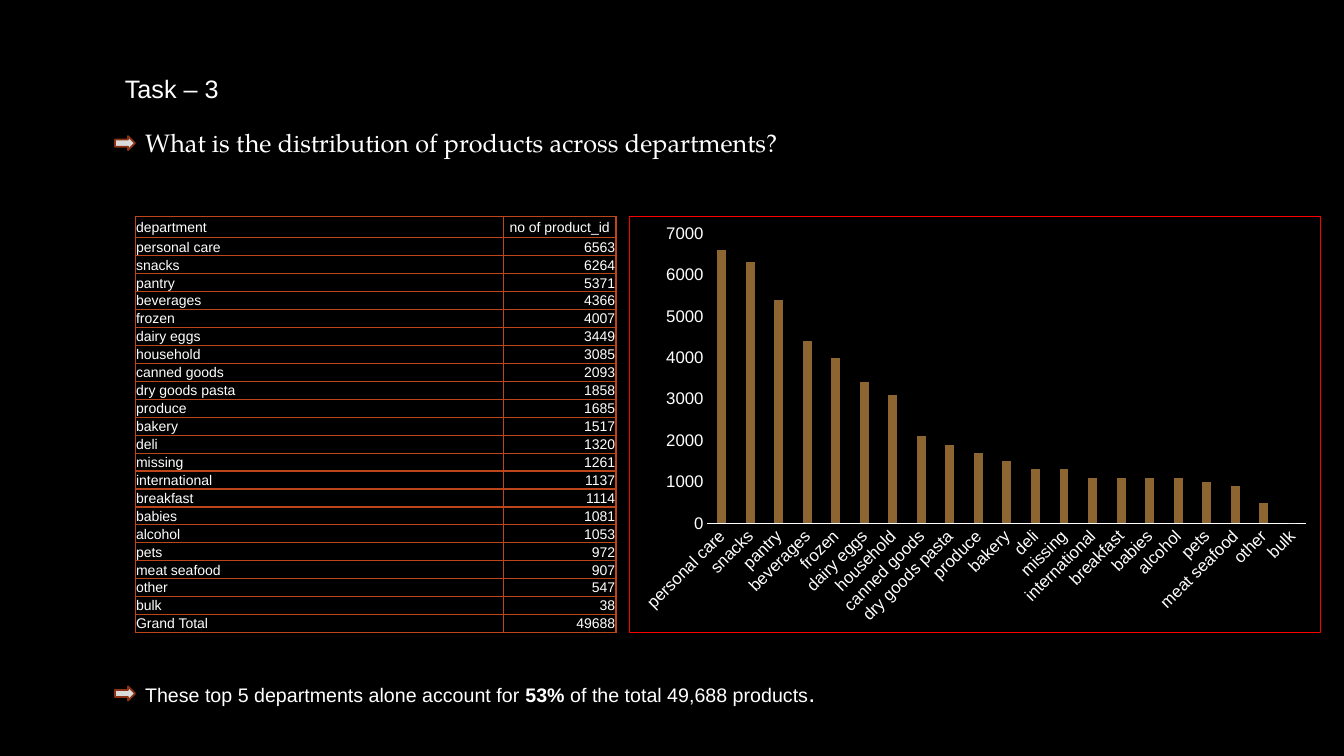
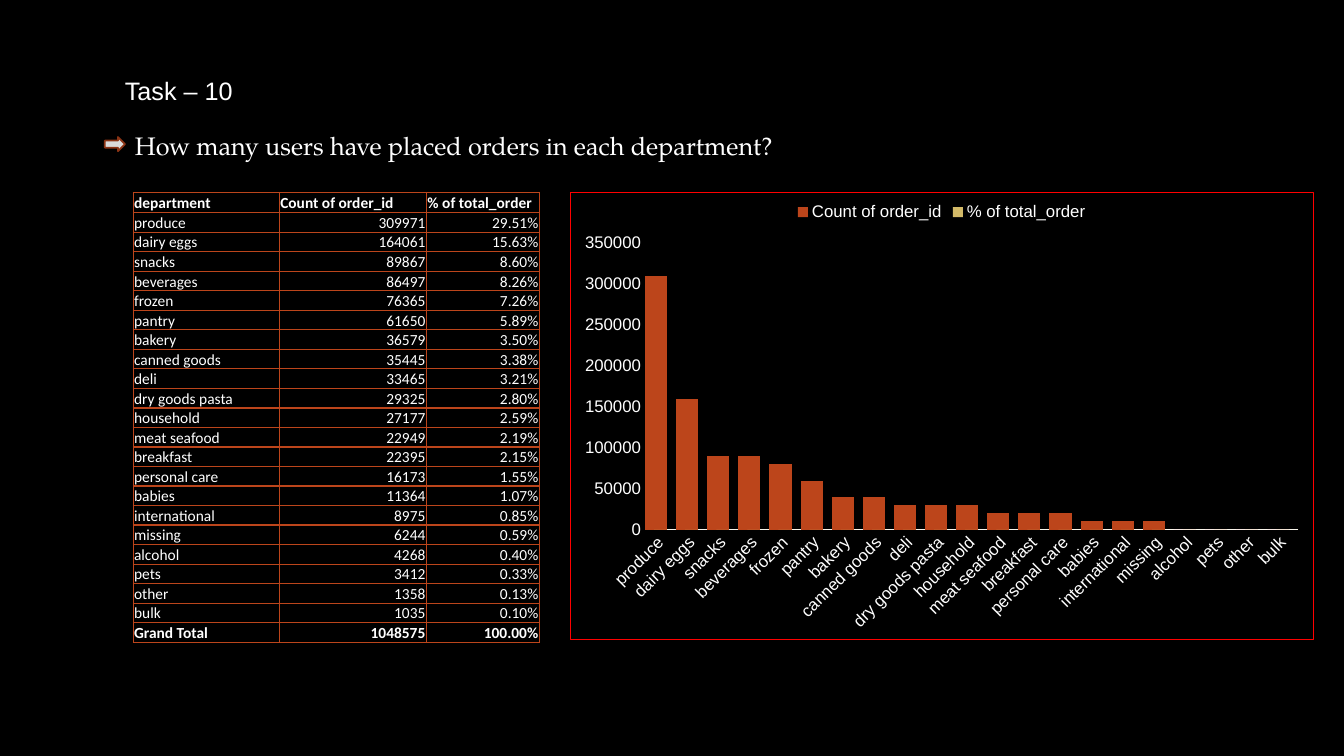
from dataclasses import dataclass

import pptx
import pptx.chart.data
import pptx.dml.color
import pptx.enum.chart
import pptx.enum.shapes
import pptx.enum.text
import pptx.oxml
import pptx.oxml.ns
import pptx.util

Inches = pptx.util.Inches
Pt = pptx.util.Pt
RGBColor = pptx.dml.color.RGBColor
Align = pptx.enum.text.PP_ALIGN
Anchor = pptx.enum.text.MSO_ANCHOR

# Shared look
BLACK = RGBColor(0x00, 0x00, 0x00)
WHITE = RGBColor(0xFF, 0xFF, 0xFF)
GREY = RGBColor(0xDA, 0xDA, 0xDA)
RUST = RGBColor(0xBC, 0x45, 0x1B)
DARK_RUST = RGBColor(0x8B, 0x33, 0x14)
BROWN = RGBColor(0x8C, 0x65, 0x30)
SAND = RGBColor(0xD3, 0xBA, 0x68)
RED = RGBColor(0xFF, 0x00, 0x00)
BODY_FONT = "Arial"
QUESTION_FONT = "TeX Gyre Pagella"
TABLE_FONT = "Calibri"


@dataclass(frozen=True)
class Box:
    left: float
    top: float
    width: float
    height: float

    def lengths(self) -> tuple:
        return tuple(Inches(n) for n in (self.left, self.top, self.width, self.height))


@dataclass(frozen=True)
class Run:
    text: str
    size: float = 18
    font: str = BODY_FONT
    bold: bool = False


@dataclass(frozen=True)
class TableStyle:
    font: str
    size: float
    anchor: Anchor
    header_alignments: tuple
    bold_ends: bool
    header_height: float
    column_widths: tuple


@dataclass(frozen=True)
class Series:
    name: str
    values: tuple
    color: RGBColor


@dataclass(frozen=True)
class ChartStyle:
    maximum: float
    major_unit: float
    rounding: int
    gap_width: int
    overlap: int
    legend: bool


# Data
PRODUCTS = [
    ("personal care", 6563), ("snacks", 6264), ("pantry", 5371),
    ("beverages", 4366), ("frozen", 4007), ("dairy eggs", 3449),
    ("household", 3085), ("canned goods", 2093), ("dry goods pasta", 1858),
    ("produce", 1685), ("bakery", 1517), ("deli", 1320), ("missing", 1261),
    ("international", 1137), ("breakfast", 1114), ("babies", 1081),
    ("alcohol", 1053), ("pets", 972), ("meat seafood", 907), ("other", 547),
    ("bulk", 38),
]
ORDERS = [
    ("produce", 309971, 29.51), ("dairy eggs", 164061, 15.63),
    ("snacks", 89867, 8.60), ("beverages", 86497, 8.26),
    ("frozen", 76365, 7.26), ("pantry", 61650, 5.89),
    ("bakery", 36579, 3.50), ("canned goods", 35445, 3.38),
    ("deli", 33465, 3.21), ("dry goods pasta", 29325, 2.80),
    ("household", 27177, 2.59), ("meat seafood", 22949, 2.19),
    ("breakfast", 22395, 2.15), ("personal care", 16173, 1.55),
    ("babies", 11364, 1.07), ("international", 8975, 0.85),
    ("missing", 6244, 0.59), ("alcohol", 4268, 0.40), ("pets", 3412, 0.33),
    ("other", 1358, 0.13), ("bulk", 1035, 0.10),
]


def add_text(slide, box: Box, runs: list[Run], wrap: bool = True):
    text_frame = slide.shapes.add_textbox(*box.lengths()).text_frame
    text_frame.word_wrap = wrap
    text_frame.auto_size = pptx.enum.text.MSO_AUTO_SIZE.SHAPE_TO_FIT_TEXT
    paragraph = text_frame.paragraphs[0]
    for part in runs:
        run = paragraph.add_run()
        run.text = part.text
        format_font(run.font, part.size, part.font, part.bold)
    return paragraph


def format_font(font, size: float, name: str = BODY_FONT, bold: bool = False) -> None:
    font.size = Pt(size)
    font.name = name
    font.bold = bold
    font.color.rgb = WHITE


def add_bullet_arrow(slide, left: float, top: float) -> None:
    arrow = slide.shapes.add_shape(
        pptx.enum.shapes.MSO_SHAPE.RIGHT_ARROW, *Box(left, top, 0.2, 0.14).lengths()
    )
    arrow.shadow.inherit = False
    arrow.fill.solid()
    arrow.fill.fore_color.rgb = GREY
    arrow.line.color.rgb = DARK_RUST
    arrow.line.width = Pt(1.25)


def add_heading(slide, title: str, title_top: float, question: str,
                question_box: Box, arrow_top: float):
    add_text(slide, Box(1.14, title_top, 2.29, 0.4), [Run(title)])
    add_bullet_arrow(slide, question_box.left - 0.2, arrow_top)
    return add_text(slide, question_box, [Run(question, font=QUESTION_FONT)], wrap=False)


def set_cell_borders(cell) -> None:
    properties = cell._tc.get_or_add_tcPr()
    for index, side in enumerate(("lnL", "lnR", "lnT", "lnB")):
        properties.insert(index, pptx.oxml.parse_xml(
            f'<a:{side} {pptx.oxml.ns.nsdecls("a")} w="{Pt(1)}"><a:solidFill>'
            f'<a:srgbClr val="{RUST}"/></a:solidFill></a:{side}>'
        ))


def add_data_table(slide, box: Box, rows: list[tuple], style: TableStyle) -> None:
    table = slide.shapes.add_table(len(rows), len(rows[0]), *box.lengths()).table
    table.first_row = False
    table.horz_banding = False
    for column, width in zip(table.columns, style.column_widths):
        column.width = Inches(width)
    row_height = (box.height - style.header_height) / (len(rows) - 1)
    for row_index, values in enumerate(rows):
        is_header = row_index == 0
        is_end = is_header or row_index == len(rows) - 1
        table.rows[row_index].height = Inches(style.header_height if is_header else row_height)
        for column_index, value in enumerate(values):
            cell = table.cell(row_index, column_index)
            cell.fill.background()
            set_cell_borders(cell)
            cell.margin_left = cell.margin_top = cell.margin_right = Inches(0.01)
            cell.margin_bottom = 0
            cell.vertical_anchor = style.anchor
            paragraph = cell.text_frame.paragraphs[0]
            paragraph.text = str(value)
            if is_header:
                paragraph.alignment = style.header_alignments[column_index]
            else:
                paragraph.alignment = Align.RIGHT if column_index else Align.LEFT
            format_font(paragraph.runs[0].font, style.size, style.font,
                        style.bold_ends and is_end)


def add_column_chart(slide, box: Box, categories: tuple,
                     series_list: list[Series], style: ChartStyle) -> None:
    chart_data = pptx.chart.data.CategoryChartData()
    chart_data.categories = categories
    for series in series_list:
        chart_data.add_series(
            series.name, [int(round(value, style.rounding)) for value in series.values]
        )
    chart = slide.shapes.add_chart(
        pptx.enum.chart.XL_CHART_TYPE.COLUMN_CLUSTERED, *box.lengths(), chart_data
    ).chart
    chart.has_title = False
    format_font(chart.font, 10)

    # Columns
    plot = chart.plots[0]
    plot.vary_by_categories = False
    plot.gap_width = style.gap_width
    plot.overlap = style.overlap
    for columns, series in zip(plot.series, series_list):
        columns.format.fill.solid()
        columns.format.fill.fore_color.rgb = series.color

    # Axes
    for axis in (chart.category_axis, chart.value_axis):
        axis.has_major_gridlines = False
        axis.major_tick_mark = pptx.enum.chart.XL_TICK_MARK.NONE
        format_font(axis.tick_labels.font, 12)
    chart.category_axis.format.line.color.rgb = WHITE
    chart.category_axis.format.line.width = Pt(0.75)
    chart.value_axis.format.line.fill.background()
    chart.value_axis.minimum_scale = 0
    chart.value_axis.maximum_scale = style.maximum
    chart.value_axis.major_unit = style.major_unit
    for body in chart.element.xpath(".//c:catAx/c:txPr/a:bodyPr"):
        body.set("rot", str(-45 * 60000))

    # Legend
    chart.has_legend = style.legend
    if style.legend:
        chart.legend.position = pptx.enum.chart.XL_LEGEND_POSITION.TOP
        chart.legend.include_in_layout = False
        format_font(chart.legend.font, 12)

    # Frame
    chart.element.find(pptx.oxml.ns.qn("c:chart")).addnext(pptx.oxml.parse_xml(
        f'<c:spPr {pptx.oxml.ns.nsdecls("c", "a")}><a:noFill/><a:ln w="{Pt(0.75)}">'
        f'<a:solidFill><a:srgbClr val="{RED}"/></a:solidFill></a:ln></c:spPr>'
    ))


def build_products_slide(slide) -> None:
    add_heading(slide, "Task – 3", 0.68,
                "What is the distribution of products across departments?",
                Box(1.34, 1.21, 6.55, 0.4), 1.35)
    add_data_table(
        slide, Box(1.34, 2.15, 4.77, 4.13),
        [("department", "no of product_id"), *PRODUCTS, ("Grand Total", 49688)],
        TableStyle(BODY_FONT, 10, Anchor.MIDDLE, (Align.LEFT, Align.CENTER),
                   False, 0.21, (3.65, 1.12)),
    )
    departments, counts = zip(*PRODUCTS)
    add_column_chart(slide, Box(6.24, 2.14, 6.86, 4.14), departments,
                     [Series("Series 1", counts, BROWN)],
                     ChartStyle(7000, 1000, -2, 219, -27, False))
    add_text(slide, Box(1.34, 6.67, 9.71, 0.4), [
        Run("These top 5 departments alone account for ", 14),
        Run("53%", 14, bold=True),
        Run(" of the total 49,688 products", 14),
        Run("."),
    ])
    add_bullet_arrow(slide, 1.14, 6.81)


def build_orders_slide(slide) -> None:
    question = add_heading(slide, "Task – 10", 0.7,
                           "How many users have placed orders in each department?",
                           Box(1.24, 1.22, 6.64, 0.41), 1.36)
    question.line_spacing = 1.07
    question.space_after = Pt(8)
    headers = ("department", "Count of order_id", "% of total_order")
    rows = [(name, count, f"{share:.2f}%")
            for name, count, share in [*ORDERS, ("Grand Total", 1048575, 100)]]
    add_data_table(
        slide, Box(1.32, 1.91, 4.03, 4.46), [headers, *rows],
        TableStyle(TABLE_FONT, 11, Anchor.BOTTOM, (Align.LEFT,) * 3,
                   True, 0.2, (1.45, 1.46, 1.12)),
    )
    departments, counts, shares = zip(*ORDERS)
    add_column_chart(slide, Box(5.65, 1.9, 7.38, 4.45), departments,
                     [Series(headers[1], counts, RUST),
                      Series(headers[2], shares, SAND)],
                     ChartStyle(350000, 50000, -4, 0, 59, True))


def main() -> None:
    presentation = pptx.Presentation()
    presentation.slide_width = Inches(13.33)
    presentation.slide_height = Inches(7.5)
    background = presentation.slide_master.background.fill
    background.solid()
    background.fore_color.rgb = BLACK
    blank_layout = presentation.slide_layouts[6]
    for build_slide in (build_products_slide, build_orders_slide):
        build_slide(presentation.slides.add_slide(blank_layout))
    presentation.save("out.pptx")


if __name__ == "__main__":
    main()
